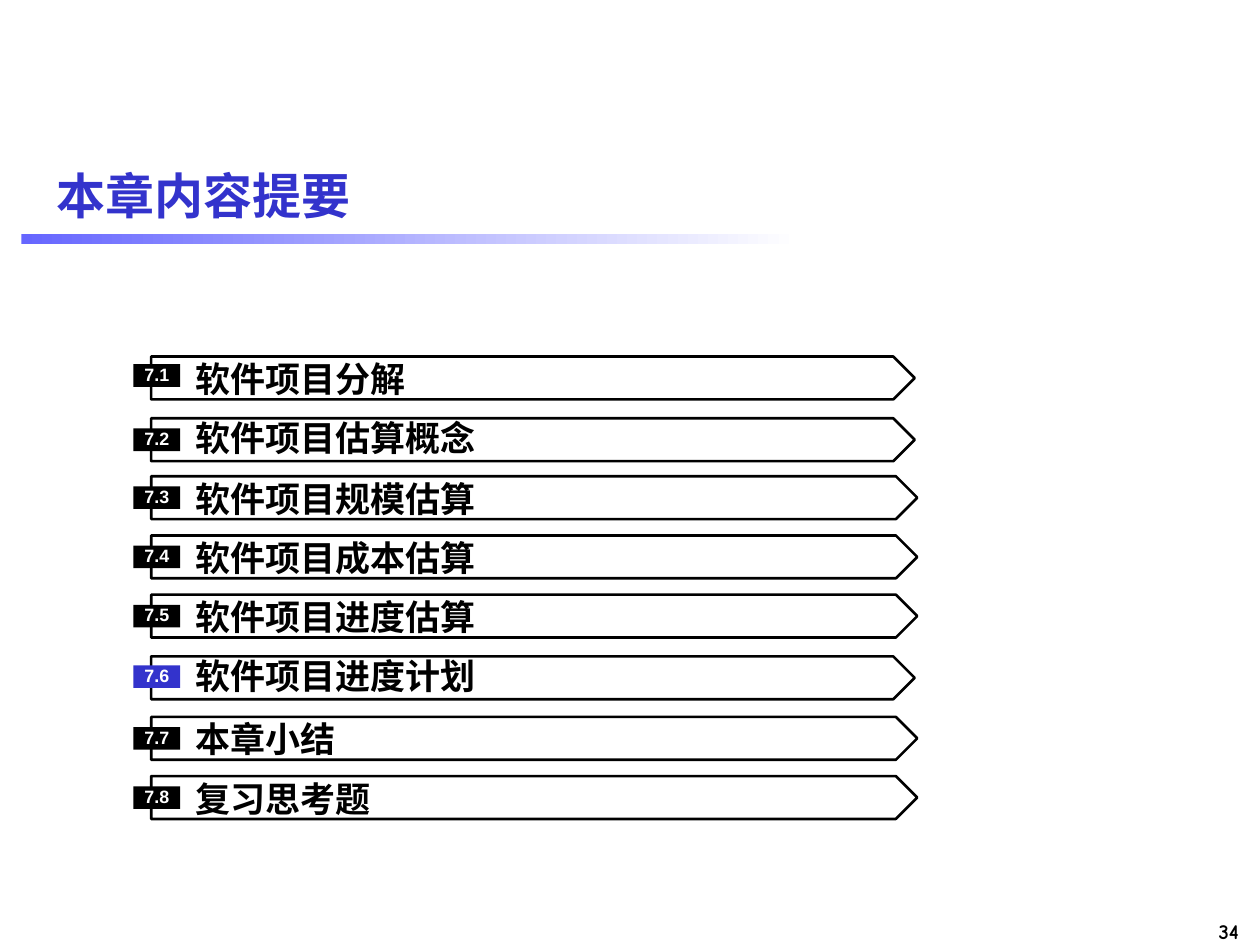
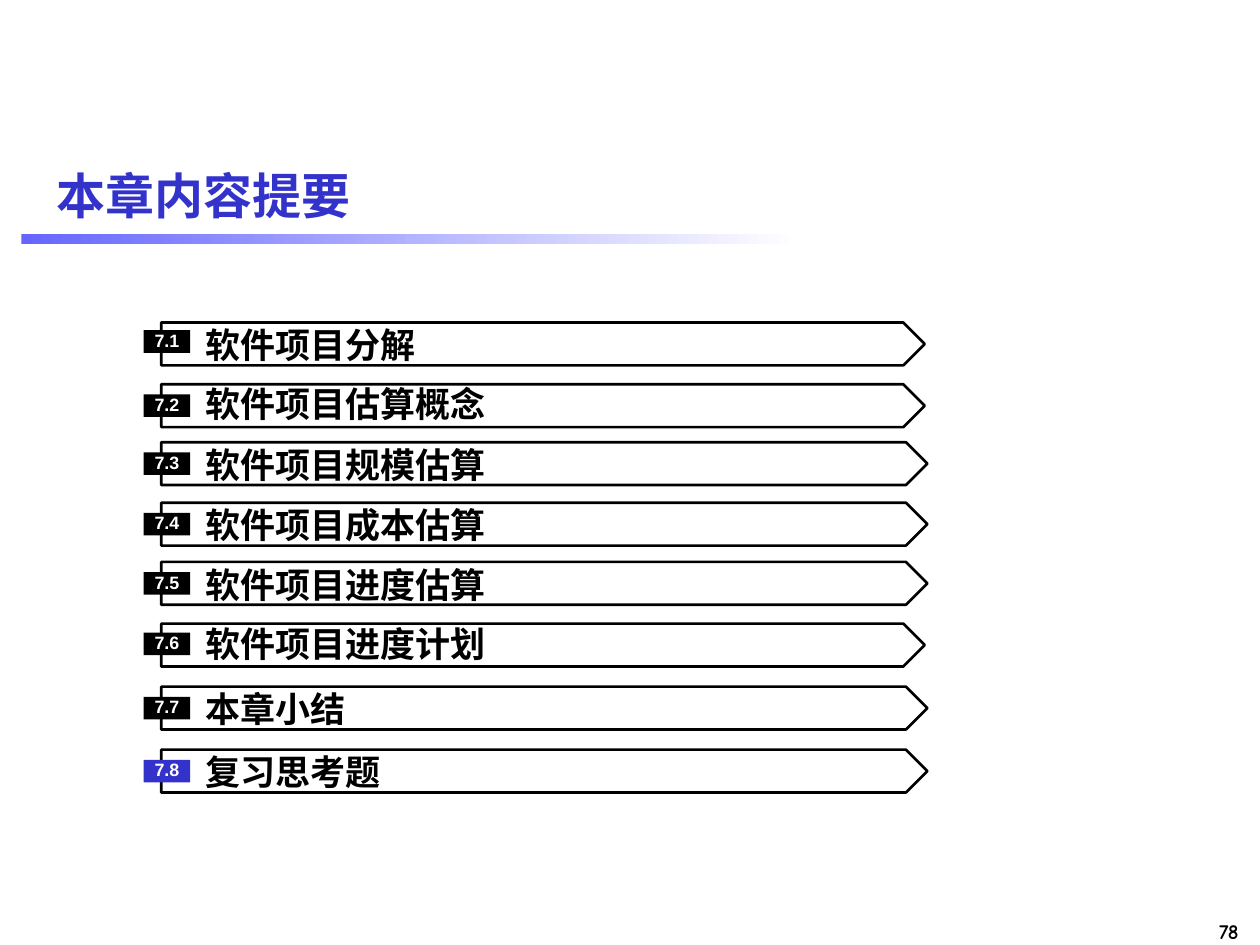
from pptx import Presentation
from pptx.dml.color import RGBColor
from pptx.enum.shapes import MSO_SHAPE as Shape
from pptx.enum.text import MSO_ANCHOR as Anchor, PP_ALIGN as Align
from pptx.util import Inches, Pt

COLORS = {
    "title": "3333CC",
    "band": "6666FF",
    "paper": "FFFFFF",
    "ink": "000000",
}

deck = Presentation()
deck.slide_width, deck.slide_height = Inches(10), Inches(7.5)
CELL = deck.slide_width // 100  # grid of 100 columns by 75 rows


def cells(*counts):
    return [round(count * CELL) for count in counts]


def write(box, text, font, size, color, align=Align.LEFT, margins=(0, 0, 0, 0)):
    frame = box.text_frame
    frame.word_wrap = True
    frame.vertical_anchor = Anchor.MIDDLE
    (frame.margin_left, frame.margin_top,
     frame.margin_right, frame.margin_bottom) = cells(*margins)
    para = frame.paragraphs[0]
    para.text = text
    para.alignment = align
    para.font.name = font
    para.font.size = Pt(size)
    para.font.bold = True
    para.font.color.rgb = RGBColor.from_string(COLORS[color])
    return para


# Chapter sections: title, arrow length, then label and badge offsets in rows
LONG, SHORT = 60.8, 60.6
SECTIONS = [
    ("软件项目分解", SHORT, 0.1, 0.6),
    ("软件项目估算概念", SHORT, -0.1, 0.8),
    ("软件项目规模估算", LONG, 0.1, 0.8),
    ("软件项目成本估算", LONG, 0.1, 0.8),
    ("软件项目进度估算", LONG, 0.1, 0.8),
    ("软件项目进度计划", SHORT, -0.1, 0.7),
    ("本章小结", LONG, 0.1, 0.8),
    ("复习思考题", LONG, 0.1, 0.8),
]
ARROW_HEIGHT, ARROW_TIP = 3.4, 1.7

# Slides: page number, highlighted section, left column, row of each arrow
AGENDAS = [
    ("34", 6, 10.6, [28.3, 33.2, 37.8, 42.5, 47.2, 52.1, 56.9, 61.6]),
    ("78", 8, 11.4, [25.6, 30.5, 35.1, 39.9, 44.6, 49.5, 54.5, 59.5]),
]

for number, current, left, tops in AGENDAS:
    page = deck.slides.add_slide(deck.slide_layouts[6])

    # Page number, band and title
    box = page.shapes.add_textbox(*cells(90.1, 72.4, 9.2, 3))
    write(box, number, "Comic Neue", 12, "ink", Align.RIGHT, (1, 0.5, 1, 0.5))

    band = page.shapes.add_shape(Shape.RECTANGLE, *cells(1.7, 18.6, 61.7, 0.8))
    band.shadow.inherit = False
    band.line.fill.background()
    band.fill.gradient()
    band.fill.gradient_angle = 0
    for stop, position, color in zip(band.fill.gradient_stops, (0, 1), ("band", "paper")):
        stop.position = position
        stop.color.rgb = RGBColor.from_string(COLORS[color])

    box = page.shapes.add_textbox(*cells(3.5, 11.5, 94.5, 7.9))
    write(box, "本章内容提要", "Arial", 28, "title", margins=(1, 0.5, 1, 0.5))

    # Section list
    rows = zip(SECTIONS, tops)
    for index, ((text, length, label_drop, badge_drop), top) in enumerate(rows, start=1):
        start, tip, bottom = left + 1.4, left + 1.4 + length, top + ARROW_HEIGHT
        outline = page.shapes.build_freeform(*cells(start, top))
        outline.add_line_segments([
            cells(tip - ARROW_TIP, top),
            cells(tip, top + ARROW_HEIGHT / 2),
            cells(tip - ARROW_TIP, bottom),
            cells(start, bottom),
        ], close=True)
        arrow = outline.convert_to_shape()
        arrow.shadow.inherit = False
        arrow.fill.background()
        arrow.line.color.rgb = RGBColor.from_string(COLORS["ink"])
        arrow.line.width = Pt(1.5)

        box = page.shapes.add_textbox(*cells(left + 4.2, top + label_drop, 54, 3.3))
        write(box, text, "Times New Roman", 20, "ink", margins=(0.7, 0, 0, 0))

        badge = page.shapes.add_shape(
            Shape.RECTANGLE, *cells(left, top + badge_drop, 3.7, 1.8))
        badge.shadow.inherit = False
        badge.line.fill.background()
        badge.fill.solid()
        badge.fill.fore_color.rgb = RGBColor.from_string(
            COLORS["title" if index == current else "ink"])
        para = write(badge, f"7.{index}", "Arial", 10.2, "paper", Align.CENTER)
        para.line_spacing = 0.9

deck.save("out.pptx")
